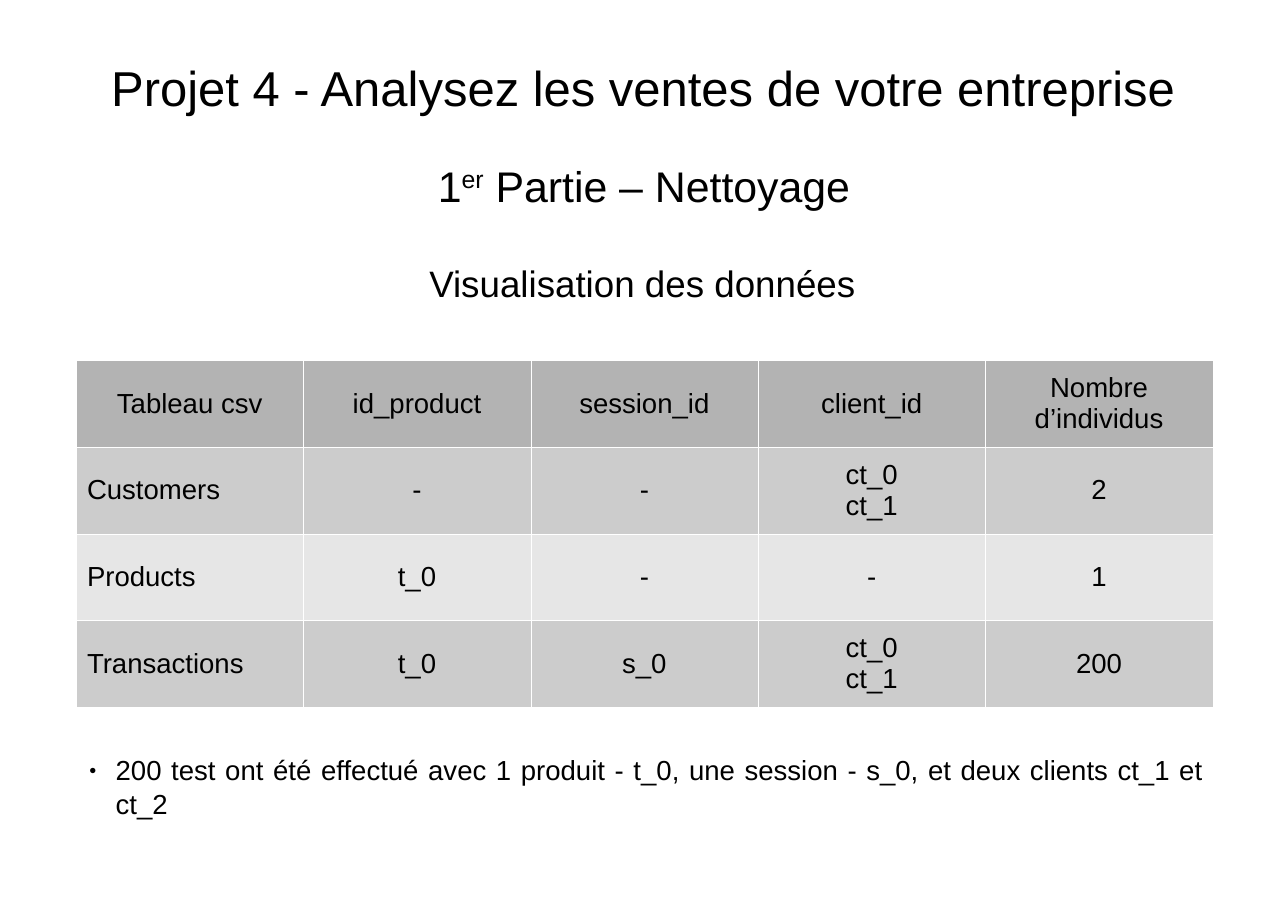
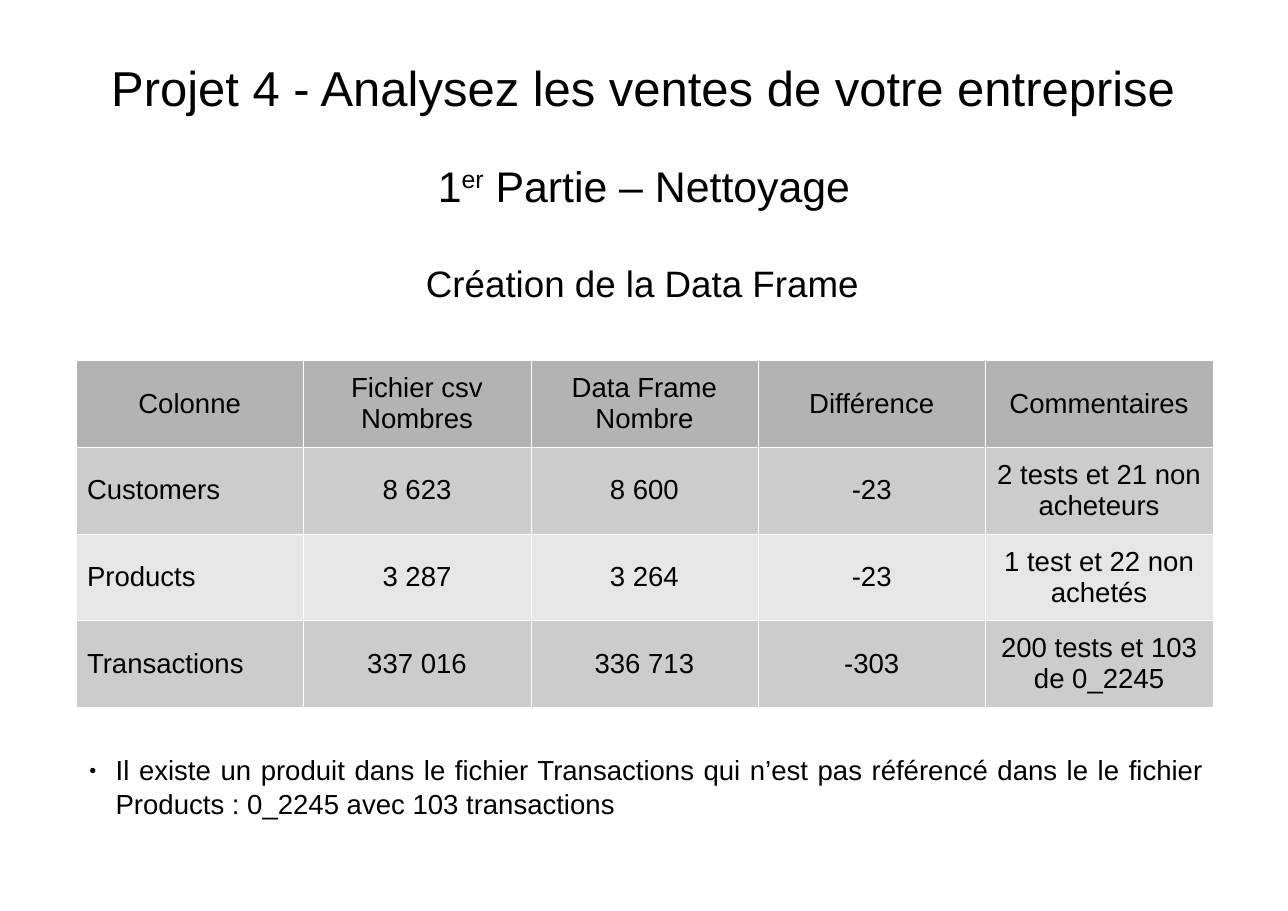
import dataclasses
import typing

import lxml.etree
import pptx
import pptx.dml.color
import pptx.enum.text
import pptx.oxml.ns
import pptx.util

WIDE, HIGH = 11.69, 8.27
HUES = {"ink": "000000", "rule": "FFFFFF", "head": "B3B3B3", "odd": "CCCCCC", "even": "E6E6E6"}
FACE = "Arial"
ALIGN = pptx.enum.text.PP_ALIGN
MID = pptx.enum.text.MSO_ANCHOR.MIDDLE
TOP = pptx.enum.text.MSO_ANCHOR.TOP
TITLE = "Projet 4 - Analysez les ventes de votre entreprise"
PART = "1^er^ Partie – Nettoyage"
RAISE = "^"  # encloses raised text


class Box(typing.NamedTuple):
    """Left, top, width and height in hundredths of the slide."""
    left: float
    top: float
    width: float
    height: float

    def place(self) -> list[int]:
        return [pptx.util.Inches(part * side / 100)
                for part, side in zip(self, (WIDE, HIGH) * 2)]


class Slot(typing.NamedTuple):
    """A placeholder's index, box and text format."""
    index: int
    box: Box
    size: int
    align: typing.Any = ALIGN.CENTER
    anchor: typing.Any = MID
    pad: tuple[float, float] = (0, 0)
    dot: bool = False


@dataclasses.dataclass
class Page:
    topic: str
    rows: list[list[str]]
    note: str


PAD = (0.1, 0.05)
GRID = Box(5.9, 39.54, 88.27, 38.1)
SLOTS = {
    "title": Slot(0, Box(8.04, 3.87, 83.92, 11.37), 32),
    "part": Slot(1, Box(8.04, 15.24, 83.92, 10.28), 28),
    "topic": Slot(3, Box(6.07, 25.88, 87.6, 10.28), 24),
    "note": Slot(2, Box(6.07, 82.1, 88.2, 7.98), 18, ALIGN.JUSTIFY, TOP, PAD, True),
}
SPARE = 4

PAGES = [
    Page("Visualisation des données", [
        ["Tableau csv", "id_product", "session_id", "client_id", "Nombre d’individus"],
        ["Customers", "-", "-", "ct_0\nct_1", "2"],
        ["Products", "t_0", "-", "-", "1"],
        ["Transactions", "t_0", "s_0", "ct_0\nct_1", "200"],
    ], "200 test ont été effectué avec 1 produit - t_0, une session - s_0, "
       "et deux clients ct_1 et ct_2"),
    Page("Création de la Data Frame", [
        ["Colonne", "Fichier csv\nNombres", "Data Frame\nNombre", "Différence", "Commentaires"],
        ["Customers", "8 623", "8 600", "-23", "2 tests et 21 non acheteurs"],
        ["Products", "3 287", "3 264", "-23", "1 test et 22 non achetés"],
        ["Transactions", "337 016", "336 713", "-303", "200 tests et 103 de 0_2245"],
    ], "Il existe un produit dans le fichier Transactions qui n’est pas référencé "
       "dans le le fichier Products : 0_2245 avec 103 transactions"),
]


def apply(item: typing.Any, form: dict[str, typing.Any]) -> None:
    """Set each named attribute of an item."""
    for name, value in form.items():
        setattr(item, name, value)


def colour(name: str) -> pptx.dml.color.RGBColor:
    return pptx.dml.color.RGBColor.from_string(HUES[name])


def add(root: typing.Any, tag: str, **attrs: str) -> typing.Any:
    """Append a drawing element."""
    return lxml.etree.SubElement(root, pptx.oxml.ns.qn(f"a:{tag}"), attrs)


def bullet(para: typing.Any) -> None:
    props = para._p.get_or_add_pPr()
    props.set("marL", str(pptx.util.Inches(0.24)))
    props.set("indent", str(pptx.util.Inches(-0.24)))
    add(add(props, "buClr"), "srgbClr", val=HUES["ink"])
    add(props, "buSzPct", val="45000")
    add(props, "buChar", char="●")


def write(frame: typing.Any, text: str, size: int, align: typing.Any, dot: bool = False) -> None:
    """Fill a text frame, one paragraph a line."""
    frame.text = text.replace(RAISE, "")
    for para, line in zip(frame.paragraphs, text.split("\n")):
        para.clear()
        apply(para, {"alignment": align, "space_before": pptx.util.Pt(0)})
        if dot:
            bullet(para)
        for count, piece in enumerate(line.split(RAISE)):
            run = para.add_run()
            run.text = piece
            apply(run.font, {"name": FACE, "size": pptx.util.Pt(size), "bold": False})
            run.font.color.rgb = colour("ink")
            if count % 2:
                run._r.get_or_add_rPr().set("baseline", "33000")


def margins(pad: tuple[float, float]) -> dict[str, int]:
    side, edge = map(pptx.util.Inches, pad)
    return {"margin_left": side, "margin_right": side, "margin_top": edge, "margin_bottom": edge}


def fill(slide: typing.Any, slot: Slot, text: str) -> None:
    """Move, format and fill one placeholder."""
    holder = next(item for item in slide.placeholders
                  if item.placeholder_format.idx == slot.index)
    apply(holder, dict(zip(("left", "top", "width", "height"), slot.box.place())))
    apply(holder.text_frame, {
        "word_wrap": True, "vertical_anchor": slot.anchor,
        "auto_size": pptx.enum.text.MSO_AUTO_SIZE.NONE, **margins(slot.pad)})
    write(holder.text_frame, text, slot.size, slot.align, slot.dot)


def border(cell: typing.Any) -> None:
    props = cell._tc.get_or_add_tcPr()
    for side in ("lnL", "lnR", "lnT", "lnB"):
        line = add(props, side, w=str(pptx.util.Pt(0.06)))
        add(add(line, "solidFill"), "srgbClr", val=HUES["rule"])


def tabulate(slide: typing.Any, rows: list[list[str]]) -> None:
    table = slide.shapes.add_table(len(rows), len(rows[0]), *GRID.place()).table
    apply(table, {"first_row": False, "horz_banding": False})
    for down, row in enumerate(rows):
        shade = "head" if down == 0 else "odd" if down % 2 else "even"
        for across, text in enumerate(row):
            cell = table.cell(down, across)
            apply(cell, {"vertical_anchor": MID, **margins(PAD)})
            write(cell.text_frame, text, 18,
                  ALIGN.LEFT if down and not across else ALIGN.CENTER)
            border(cell)
            cell.fill.solid()
            cell.fill.fore_color.rgb = colour(shade)


def build(deck: typing.Any, page: Page) -> None:
    layout = deck.slide_layouts.get_by_name("Comparison")
    slide = deck.slides.add_slide(layout)
    texts = {"title": TITLE, "part": PART, "topic": page.topic, "note": page.note}
    for name, slot in SLOTS.items():
        fill(slide, slot, texts[name])
    for item in list(slide.placeholders):
        if item.placeholder_format.idx == SPARE:
            item._element.getparent().remove(item._element)
    tabulate(slide, page.rows)


def main() -> None:
    deck = pptx.Presentation()
    apply(deck, {"slide_width": pptx.util.Inches(WIDE), "slide_height": pptx.util.Inches(HIGH)})
    for page in PAGES:
        build(deck, page)
    deck.save("out.pptx")


if __name__ == "__main__":
    main()
